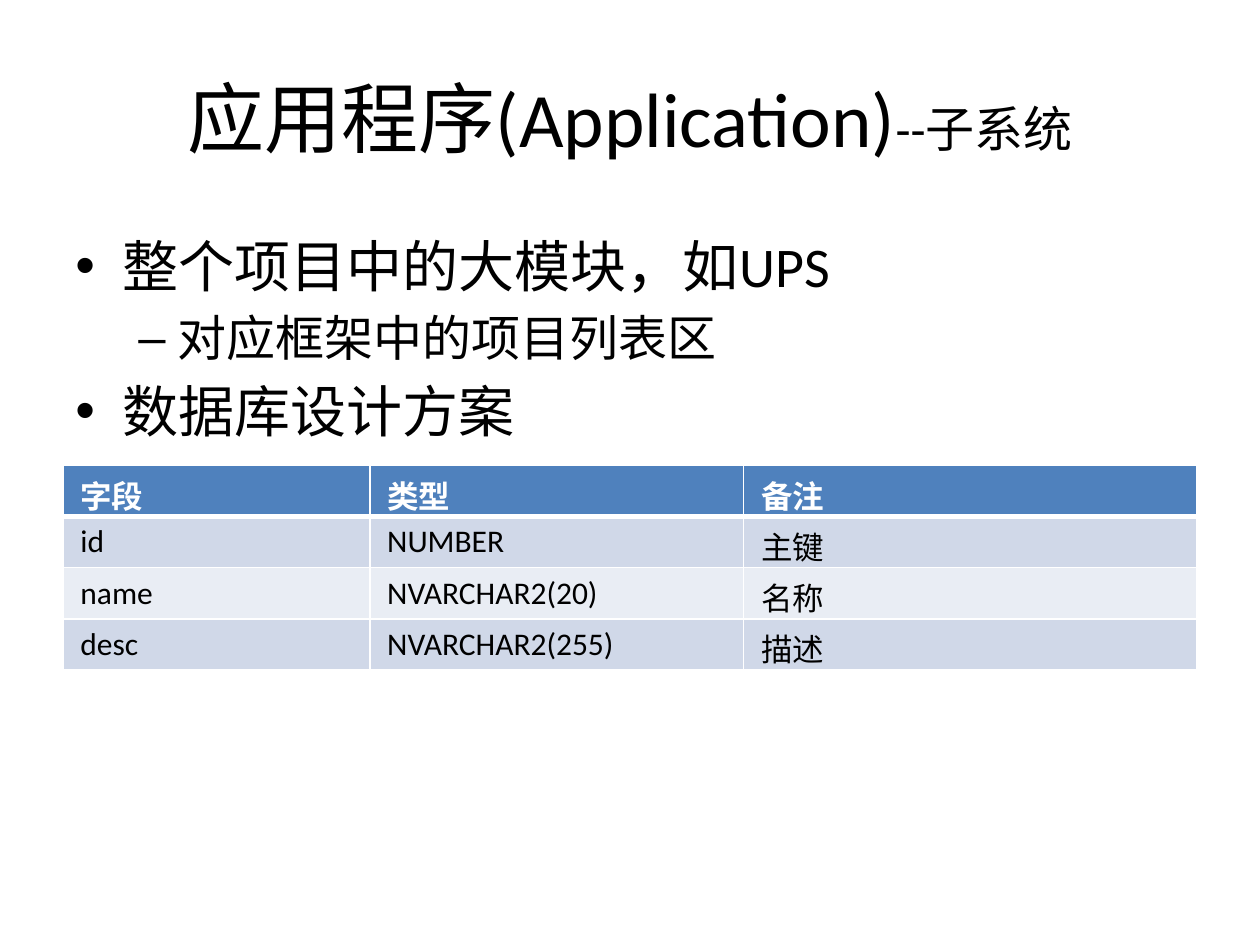
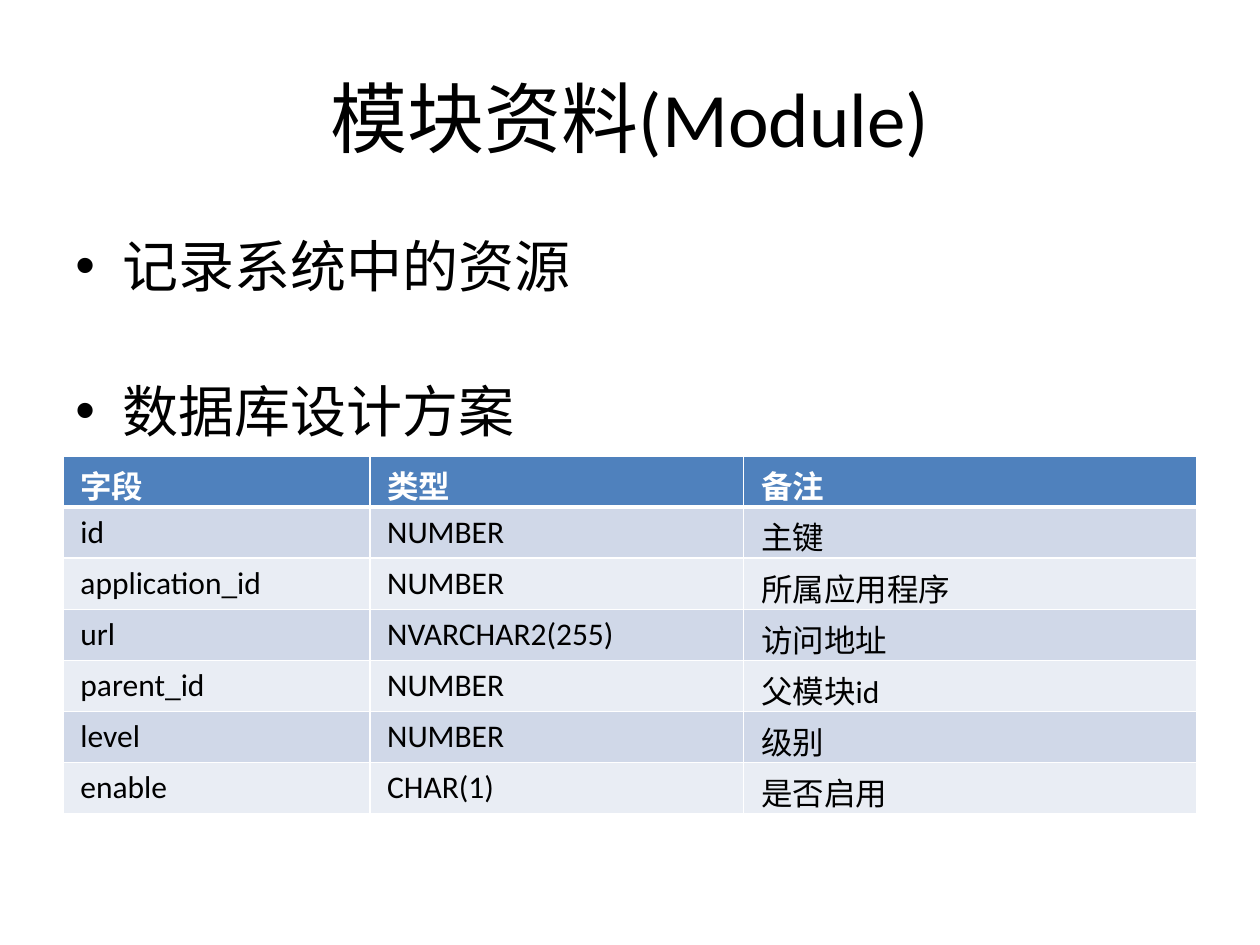
from lxml import etree
from pptx import Presentation
from pptx.dml.color import RGBColor
from pptx.enum import text
from pptx.oxml import ns
from pptx.util import Pt

BLACK = RGBColor(0x00, 0x00, 0x00)
WHITE = RGBColor(0xFF, 0xFF, 0xFF)
HEADER_BLUE = RGBColor(0x4F, 0x81, 0xBD)
BANDS = [RGBColor(0xD0, 0xD8, 0xE8), RGBColor(0xE9, 0xED, 0xF4)]
FONT = "Calibri"
LEFT, WIDTH = Pt(36), Pt(648)
COLUMN_WIDTHS = [Pt(175.3), Pt(213.7), Pt(259)]
ROW_HEIGHT = Pt(29.2)
HEADINGS = ("字段", "类型", "备注")
TITLE_SIZE, SUBTITLE_SIZE = 44, 28
LEVELS = [
    {"size": 32, "line": 41, "margin": 27, "indent": -27, "bullet": "•"},
    {"size": 28, "line": 36, "margin": 58.5, "indent": -22.5, "bullet": "–"},
]


def apply_format(target, values):
    """Set each named attribute of the target."""
    for name, value in values.items():
        setattr(target, name, value)


def add_span(para, words, size, color=BLACK, bold=False):
    """Append formatted words to a paragraph."""
    span = para.add_run()
    span.text = words
    apply_format(span.font, {"name": FONT, "size": Pt(size), "bold": bold})
    span.font.color.rgb = color


def add_title(page, spans):
    """Place the title and fill it with (words, size) spans."""
    title = page.shapes.title
    apply_format(title, {"left": LEFT, "top": Pt(21.6), "width": WIDTH, "height": Pt(90)})
    title.text_frame.vertical_anchor = text.MSO_ANCHOR.MIDDLE
    para = title.text_frame.paragraphs[0]
    para.alignment = text.PP_ALIGN.CENTER
    for words, size in spans:
        add_span(para, words, size)


def add_bullets(page, items):
    """Add a bullet list of (words, level, space before) items."""
    box = page.shapes.add_textbox(LEFT, Pt(126), WIDTH, Pt(138))
    frame = box.text_frame
    frame.word_wrap = True
    for index, (words, level, space) in enumerate(items):
        style = LEVELS[level]
        para = frame.add_paragraph() if index else frame.paragraphs[0]
        apply_format(para, {"level": level, "space_before": Pt(space),
                            "line_spacing": Pt(style["line"])})
        props = para._p.get_or_add_pPr()
        props.set("marL", str(Pt(style["margin"])))
        props.set("indent", str(Pt(style["indent"])))
        etree.SubElement(props, ns.qn("a:buFont"), typeface="Arial")
        etree.SubElement(props, ns.qn("a:buChar"), char=style["bullet"])
        add_span(para, words, style["size"])


def add_borders(cell, bottom, top):
    """Draw white lines around a cell."""
    props = cell._tc.get_or_add_tcPr()
    for side, width in {"L": 1, "R": 1, "T": top, "B": bottom}.items():
        line = etree.SubElement(props, ns.qn(f"a:ln{side}"), w=str(Pt(width)))
        fill = etree.SubElement(line, ns.qn("a:solidFill"))
        etree.SubElement(fill, ns.qn("a:srgbClr"), val=str(WHITE))


def add_field_table(page, top, fields):
    """Add the database field table below its heading row."""
    rows = [HEADINGS, *fields]
    table = page.shapes.add_table(len(rows), len(HEADINGS), LEFT, Pt(top),
                                  WIDTH, ROW_HEIGHT * len(rows)).table
    for column, width in zip(table.columns, COLUMN_WIDTHS):
        column.width = width
    for row_index, row in enumerate(rows):
        header = row_index == 0
        for column_index, words in enumerate(row):
            cell = table.cell(row_index, column_index)
            apply_format(cell, {"margin_left": Pt(10), "margin_right": Pt(10),
                                "margin_top": Pt(3.6), "margin_bottom": Pt(3.6)})
            add_borders(cell, bottom=3 if header else 1, top=3 if row_index == 1 else 1)
            cell.fill.solid()
            cell.fill.fore_color.rgb = HEADER_BLUE if header else BANDS[(row_index - 1) % 2]
            add_span(cell.text_frame.paragraphs[0], words, 18,
                     WHITE if header else BLACK, header)


def add_page(deck, title, bullets, table_top, fields):
    """Add a page with a title, bullets and a field table."""
    page = deck.slides.add_slide(deck.slide_layouts[5])
    add_title(page, title)
    add_bullets(page, bullets)
    add_field_table(page, table_top, fields)


def main():
    """Build and save the deck."""
    deck = Presentation()
    apply_format(deck, {"slide_width": Pt(720), "slide_height": Pt(540)})
    add_page(
        deck,
        [("应用程序(Application)", TITLE_SIZE), ("--子系统", SUBTITLE_SIZE)],
        [("整个项目中的大模块，如UPS", 0, 0), ("对应框架中的项目列表区", 1, 3),
         ("数据库设计方案", 0, 3)],
        266,
        [("id", "NUMBER", "主键"),
         ("name", "NVARCHAR2(20)", "名称"),
         ("desc", "NVARCHAR2(255)", "描述")],
    )
    add_page(
        deck,
        [("模块资料(Module)", TITLE_SIZE)],
        [("记录系统中的资源", 0, 0), ("数据库设计方案", 0, 42)],
        260.6,
        [("id", "NUMBER", "主键"),
         ("application_id", "NUMBER", "所属应用程序"),
         ("url", "NVARCHAR2(255)", "访问地址"),
         ("parent_id", "NUMBER", "父模块id"),
         ("level", "NUMBER", "级别"),
         ("enable", "CHAR(1)", "是否启用")],
    )
    deck.save("out.pptx")


if __name__ == "__main__":
    main()
